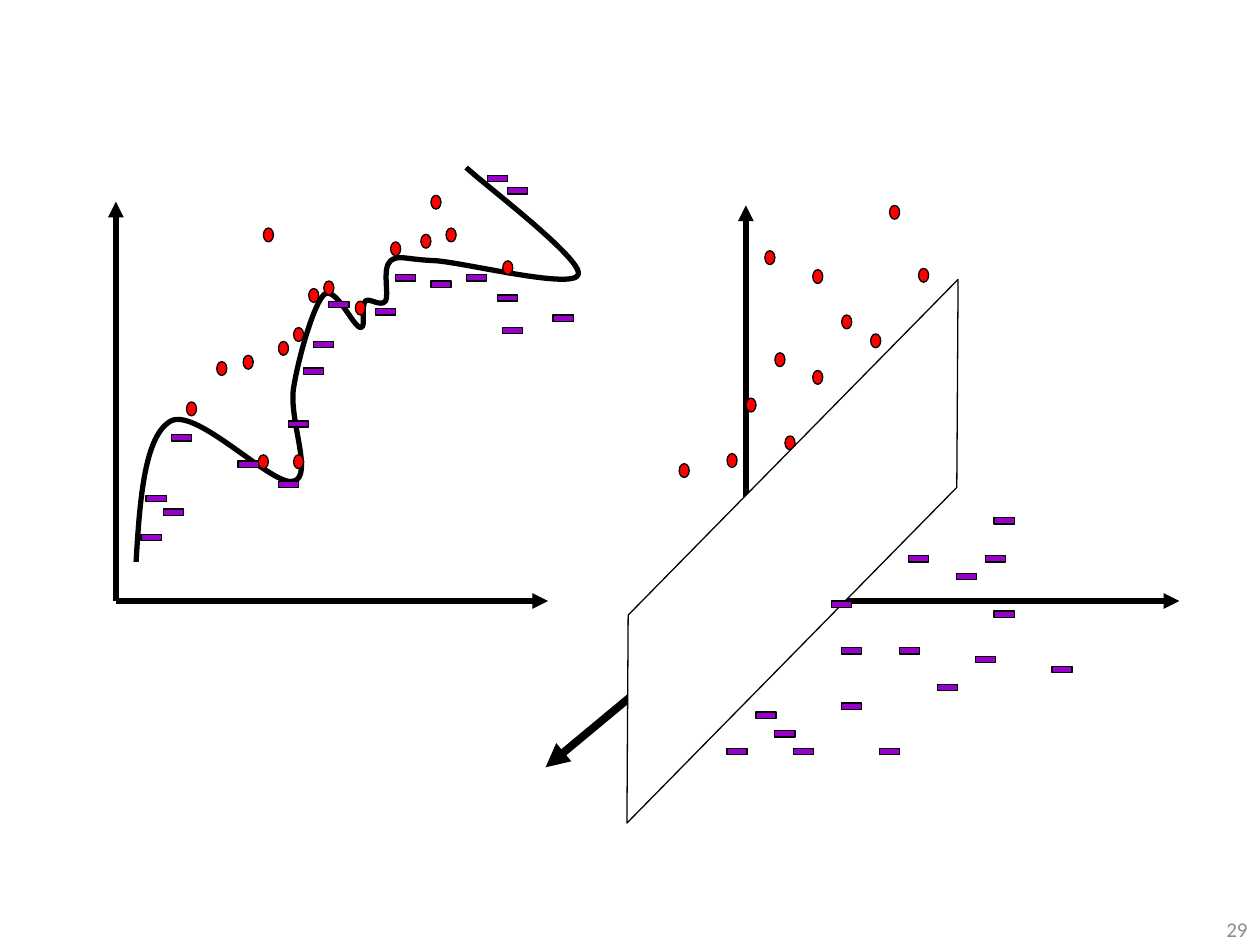
from lxml import etree
from pptx import Presentation
from pptx import util as u
from pptx.dml import color
from pptx.enum import shapes, text
from pptx.oxml import ns

BLACK = color.RGBColor(0x00, 0x00, 0x00)
WHITE = color.RGBColor(0xFF, 0xFF, 0xFF)
RED = color.RGBColor(0xFF, 0x00, 0x00)
PURPLE = color.RGBColor(0x99, 0x00, 0xCC)
GREY = color.RGBColor(0x8C, 0x8C, 0x8C)

# Top left corners of the marks, in inches
INPUT_POSITIVES = [
    (2.05, 3.61), (2.33, 2.6), (2.09, 1.81), (2.21, 2.71), (2.45, 2.29), (2.33, 3.61),
    (2.82, 2.39), (2.57, 2.23), (1.93, 2.82), (1.72, 2.87), (1.48, 3.19), (3.42, 1.55),
    (3.99, 2.07), (3.34, 1.86), (3.1, 1.92), (3.54, 1.81),
]
INPUT_NEGATIVES = [
    (2.49, 2.71), (1.16, 3.93), (3.7, 2.18), (2.29, 3.34), (3.14, 2.18), (2.61, 2.39),
    (1.89, 3.66), (3.42, 2.23), (4.03, 1.49), (2.98, 2.45), (3.87, 1.39), (2.41, 2.92),
    (1.36, 3.45), (3.99, 2.6), (3.95, 2.34), (2.21, 3.82), (4.39, 2.5), (1.12, 4.24),
    (1.3, 4.04),
]
FEATURE_POSITIVES = [
    (6.07, 1.99), (7.06, 1.63), (6.45, 2.14), (7.29, 2.13), (6.68, 2.5), (6.15, 2.8),
    (6.91, 2.65), (5.39, 3.68), (6.45, 2.94), (5.92, 3.16), (5.77, 3.6), (6.23, 3.46),
]
FEATURE_NEGATIVES = [
    (7.59, 4.55), (7.82, 4.41), (7.89, 4.85), (6.6, 4.77), (7.21, 4.41), (8.35, 5.29),
    (7.14, 5.14), (7.89, 4.11), (7.44, 5.43), (6.68, 5.58), (7.74, 5.21), (6.68, 5.14),
    (6.98, 5.94), (5.77, 5.94), (6, 5.65), (6.15, 5.8), (6.3, 5.94),
]
# Start point, then two control points and an end point for each segment
BOUNDARY = [
    (1.08, 4.46),
    (1.11, 3.95), (1.15, 3.45), (1.36, 3.34),
    (1.57, 3.24), (2.17, 3.87), (2.33, 3.82),
    (2.49, 3.78), (2.29, 3.33), (2.33, 3.08),
    (2.37, 2.83), (2.49, 2.42), (2.57, 2.34),
    (2.66, 2.26), (2.8, 2.59), (2.86, 2.6),
    (2.91, 2.61), (2.86, 2.43), (2.9, 2.39),
    (2.93, 2.36), (3.02, 2.44), (3.06, 2.39),
    (3.09, 2.34), (3.03, 2.13), (3.1, 2.07),
    (3.17, 2.02), (3.21, 2.06), (3.46, 2.07),
    (3.71, 2.09), (4.55, 2.3), (4.59, 2.18),
    (4.63, 2.06), (3.85, 1.47), (3.7, 1.33),
]


class Diagram:
    font = "Calibri"
    outline = u.Pt(0.75)
    stroke = u.Pt(3)

    def __init__(self, page):
        self.page = page

    def shape(self, kind, left, top, width, height, fill):
        shape = self.page.shapes.add_shape(
            kind, u.Inches(left), u.Inches(top), u.Inches(width), u.Inches(height))
        shape.shadow.inherit = False
        shape.fill.solid()
        shape.fill.fore_color.rgb = fill
        shape.line.color.rgb = BLACK
        shape.line.width = self.outline
        return shape

    def positives(self, places):
        for left, top in places:
            self.shape(shapes.MSO_SHAPE.OVAL, left, top, 0.08, 0.11, RED)

    def negatives(self, places):
        for left, top in places:
            self.shape(shapes.MSO_SHAPE.RECTANGLE, left, top, 0.16, 0.05, PURPLE)

    def arrow(self, start, end, width=stroke):
        arrow = self.page.shapes.add_connector(
            shapes.MSO_CONNECTOR.STRAIGHT, *map(u.Inches, start + end))
        arrow.line.color.rgb = BLACK
        arrow.line.width = width
        properties = arrow.element.spPr
        outline = properties.find(ns.qn("a:ln"))
        etree.SubElement(outline, ns.qn("a:tailEnd"), type="triangle")
        etree.SubElement(properties, ns.qn("a:effectLst"))

    def curve(self, points):
        """Draw an open chain of cubic Bezier segments."""
        start, *rest = [(u.Inches(x), u.Inches(y)) for x, y in points]
        builder = self.page.shapes.build_freeform(*start)
        builder.add_line_segments(rest, close=False)
        curve = builder.convert_to_shape()
        curve.shadow.inherit = False
        curve.fill.background()
        curve.line.color.rgb = BLACK
        curve.line.width = self.stroke
        outline = next(curve.element.iter(ns.qn("a:path")))
        steps = outline.findall(ns.qn("a:lnTo"))
        for first in range(0, len(steps), 3):
            bezier = etree.SubElement(outline, ns.qn("a:cubicBezTo"))
            for step in steps[first:first + 3]:
                bezier.append(step[0])
                outline.remove(step)

    def plane(self, left, top, width, height, slant, rotation):
        plane = self.shape(shapes.MSO_SHAPE.PARALLELOGRAM, left, top, width, height, WHITE)
        plane.adjustments[0] = slant
        plane.rotation = rotation

    def page_number(self, number):
        box = self.page.shapes.add_textbox(
            u.Inches(7.67), u.Inches(7.25), u.Inches(2.33), u.Inches(0.25))
        frame = box.text_frame
        frame.word_wrap = True
        frame.vertical_anchor = text.MSO_ANCHOR.MIDDLE
        frame.text = number
        para = frame.paragraphs[0]
        para.alignment = text.PP_ALIGN.RIGHT
        span = para.runs[0]
        span.font.name = self.font
        span.font.size = u.Pt(12)
        span.font.color.rgb = GREY


def main():
    deck = Presentation()
    deck.slide_width, deck.slide_height = u.Inches(10), u.Inches(7.5)
    diagram = Diagram(deck.slides.add_slide(deck.slide_layouts[6]))
    diagram.page_number("29")

    input_origin = (0.92, 4.77)
    diagram.arrow(input_origin, (0.92, 1.6))
    diagram.arrow(input_origin, (4.35, 4.77))
    diagram.curve(BOUNDARY)
    diagram.positives(INPUT_POSITIVES)
    diagram.negatives(INPUT_NEGATIVES)

    feature_origin = (5.92, 4.77)
    diagram.arrow(feature_origin, (5.92, 1.63))
    diagram.arrow(feature_origin, (9.36, 4.77))
    diagram.arrow(feature_origin, (4.33, 6.09), u.Pt(4.5))
    diagram.positives(FEATURE_POSITIVES)
    diagram.plane(3.83, 3.8, 4.92, 1.15, slant=1.03, rotation=314.5)
    diagram.negatives(FEATURE_NEGATIVES)

    deck.save("out.pptx")


if __name__ == "__main__":
    main()
